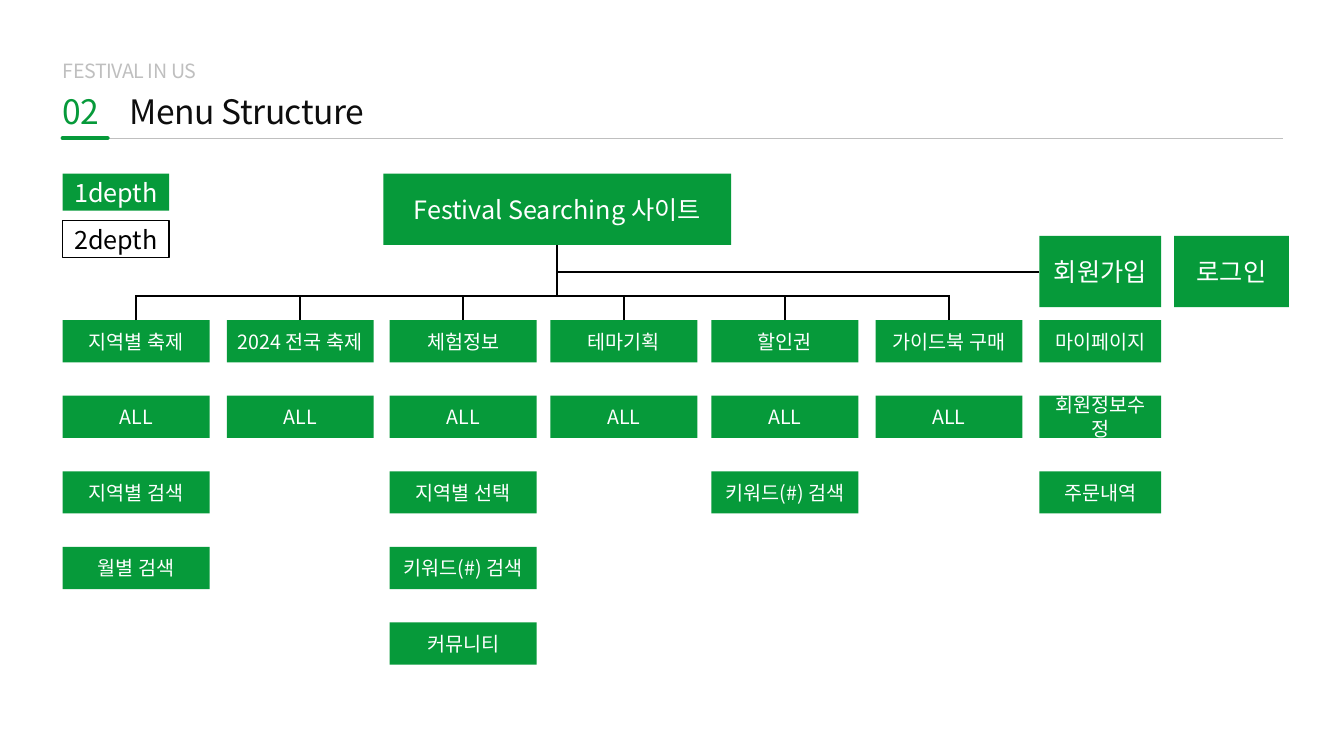
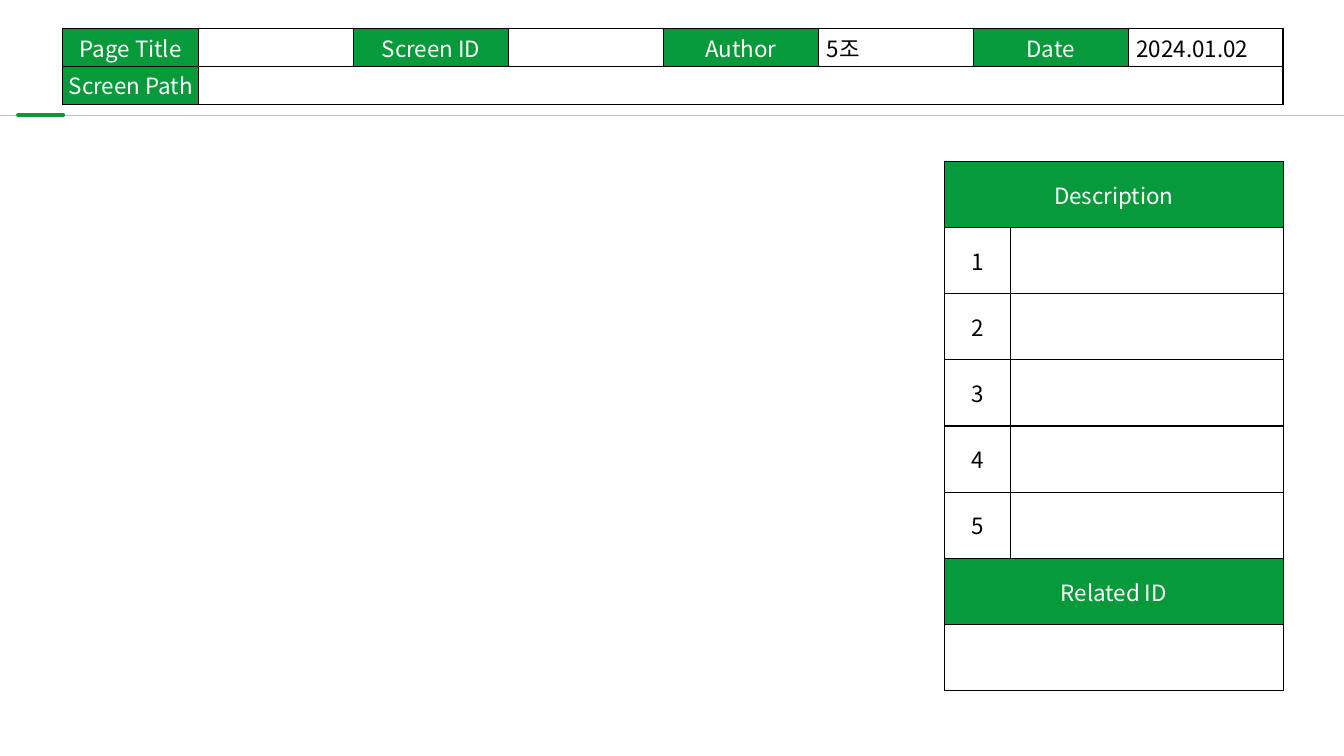
from lxml.etree import SubElement
from pptx import Presentation
from pptx.dml.color import RGBColor
from pptx.enum.shapes import MSO_CONNECTOR as CONN, MSO_SHAPE as SHAPE
from pptx.enum.text import MSO_ANCHOR as ANCHOR, MSO_AUTO_SIZE as AUTO, PP_ALIGN as ALIGN
from pptx.oxml.ns import qn
from pptx.util import Pt

FONT = "Noto Sans CJK KR"
GREEN, GRAY, INK, BLACK, WHITE = "069A3A", "BFBFBF", "0D0D0D", "000000", "FFFFFF"
LEFT, RIGHT = 44.8, 916.6
MARK_W = 32

MENU = [
    (0, 105, ["지역별 축제", "ALL", "지역별 검색", "월별 검색"]),
    (117.2, 105, ["2024 전국 축제", "ALL"]),
    (233.6, 105, ["체험정보", "ALL", "지역별 선택", "키워드(#) 검색", "커뮤니티"]),
    (348.4, 105, ["테마기획", "ALL"]),
    (463.4, 105, ["할인권", "ALL", "키워드(#) 검색"]),
    (580.6, 105, ["가이드북 구매", "ALL"]),
    (697.6, 87, ["마이페이지", "회원정보수정", "주문내역"]),
]


def color(code):
    return RGBColor.from_string(code)


def write(tf, text, size=14, fill=WHITE, align=ALIGN.CENTER, spacing=None):
    p = tf.paragraphs[0]
    p.alignment = align
    r = p.add_run()
    r.text = text
    r.font.size = Pt(size)
    r.font.name = FONT
    r.font.color.rgb = color(fill)
    rpr = r.font._element
    SubElement(rpr, qn("a:ea")).set("typeface", FONT)
    if spacing is not None:
        rpr.set("spc", str(round(spacing * 100)))


def label(s, x, y, w, h, text, size, fill, anchor=ANCHOR.TOP):
    tf = s.shapes.add_textbox(Pt(x), Pt(y), Pt(w), Pt(h)).text_frame
    tf.margin_left = tf.margin_right = tf.margin_top = tf.margin_bottom = 0
    tf.word_wrap = False
    tf.auto_size = AUTO.SHAPE_TO_FIT_TEXT
    tf.vertical_anchor = anchor
    write(tf, text, size=size, fill=fill, align=ALIGN.LEFT, spacing=-0.3)


def box(s, x, y, w, h, text, size=14, outlined=False):
    sp = s.shapes.add_shape(SHAPE.RECTANGLE, Pt(x), Pt(y), Pt(w), Pt(h))
    sp.shadow.inherit = False
    if outlined:
        sp.fill.background()
        sp.line.color.rgb = color(BLACK)
        sp.line.width = Pt(1)
    else:
        sp.fill.solid()
        sp.fill.fore_color.rgb = color(GREEN)
        sp.line.fill.background()
    tf = sp.text_frame
    tf.word_wrap = True
    tf.vertical_anchor = ANCHOR.MIDDLE
    write(tf, text, size=size, fill=BLACK if outlined else WHITE)
    return sp


def line(s, x1, y1, x2, y2, stroke=BLACK, width=1.5, cap=None):
    c = s.shapes.add_connector(CONN.STRAIGHT, Pt(x1), Pt(y1), Pt(x2), Pt(y2))
    c.line.color.rgb = color(stroke)
    c.line.width = Pt(width)
    if cap:
        c.line._get_or_add_ln().set("cap", cap)
    SubElement(c._element.spPr, qn("a:effectLst"))
    return c


def rule(s, x1, x2, y, mark_x):
    line(s, x1, y, x2, y, stroke=GRAY, width=0.5)
    line(s, mark_x, y, mark_x + MARK_W, y, stroke=GREEN, width=3, cap="rnd")


def heading(s, x, y, number, title, kicker):
    label(s, x, y, 98.6, 17.3, kicker, 14, GRAY, anchor=ANCHOR.BOTTOM)
    label(s, x, y + 23, 31.7, 28.8, number, 24, GREEN)
    label(s, x + 47.6, y + 23, 177.8, 28.8, title, 24, INK)
    rule(s, x + MARK_W, RIGHT, y + 56.9, x)


def legend(s, x, y):
    box(s, x, y, 76, 26.6, "1depth", size=18)
    box(s, x, y + 33.6, 76, 26.6, "2depth", size=18, outlined=True)


def site_map(s, x, y):
    row_top, row_h, pitch = y + 104.6, 30.2, 54
    bus_y, link_y = y + 87.6, y + 70
    root = box(s, x + 229, y, 248.4, 51, "Festival Searching 사이트", size=18)
    join = box(s, x + 697.6, link_y - 25.5, 87, 51, "회원가입", size=18)
    box(s, x + 793.8, link_y - 25.5, 82, 51, "로그인", size=18)

    columns = [[box(s, x + dx, row_top + i * pitch, w, row_h, text)
                for i, text in enumerate(texts)] for dx, w, texts in MENU]
    centers = [x + dx + w / 2 for dx, w, _ in MENU[:-1]]
    for cx, column in zip(centers, columns):
        line(s, cx, row_top, cx, bus_y).begin_connect(column[0], 0)
    line(s, centers[0] - 0.75, bus_y, centers[-1] + 0.75, bus_y)

    root_x = x + 229 + 124.2
    line(s, root_x, y + 51, root_x, bus_y).begin_connect(root, 2)
    line(s, x + 697.6, link_y, root_x, link_y).begin_connect(join, 1)


def border(cell):
    pr = cell._tc.get_or_add_tcPr()
    for i, side in enumerate(("a:lnL", "a:lnR", "a:lnT", "a:lnB")):
        ln = pr.makeelement(qn(side), {"w": str(Pt(1))})
        fill = SubElement(ln, qn("a:solidFill"))
        SubElement(fill, qn("a:srgbClr")).set("val", BLACK)
        pr.insert(i, ln)


def grid(s, x, y, widths, row_h, rows, heads, merges=(), left_cells=()):
    shape = s.shapes.add_table(len(rows), len(widths), Pt(x), Pt(y),
                               Pt(sum(widths)), Pt(row_h * len(rows)))
    tbl = shape.table
    tbl.first_row = tbl.horz_banding = False
    for col, w in zip(tbl.columns, widths):
        col.width = Pt(w)
    for i, row in enumerate(rows):
        tbl.rows[i].height = Pt(row_h)
        for j, text in enumerate(row):
            cell = tbl.cell(i, j)
            to_left = text in left_cells
            cell.margin_left = Pt(6 if to_left else 2)
            cell.margin_right = cell.margin_top = cell.margin_bottom = Pt(2)
            cell.vertical_anchor = ANCHOR.MIDDLE
            if text in heads:
                cell.fill.solid()
                cell.fill.fore_color.rgb = color(GREEN)
            else:
                cell.fill.background()
            border(cell)
            if text:
                write(cell.text_frame, text, size=16,
                      fill=WHITE if text in heads else BLACK,
                      align=ALIGN.LEFT if to_left else ALIGN.CENTER)
    for row, first in merges:
        tbl.cell(row, first).merge(tbl.cell(row, len(widths) - 1))


def page_info(s, x, y, w):
    first = 97.2
    rows = [["Page Title", "", "Screen ID", "", "Author", "5조", "Date", "2024.01.02"],
            ["Screen Path"] + [""] * 7]
    grid(s, x, y, [first] + [(w - first) / 7] * 7, 27.1, rows,
         heads=("Page Title", "Screen ID", "Author", "Date", "Screen Path"),
         merges=[(1, 1)], left_cells=("5조", "2024.01.02"))


def description(s, x, y, w):
    rows = [["Description", ""]]
    rows += [[str(n), ""] for n in range(1, 6)]
    rows += [["Related ID", ""], ["", ""]]
    grid(s, x, y, [47.2, w - 47.2], 47.25, rows,
         heads=("Description", "Related ID"), merges=[(0, 0), (6, 0), (7, 0)])


def menu_slide(s):
    heading(s, LEFT, 41.8, "02", "Menu Structure", "FESTIVAL IN US")
    legend(s, LEFT, 124)
    site_map(s, LEFT, 124)


def screen_slide(s):
    rule(s, 0, 960, 82.2, 13)
    page_info(s, LEFT, 20.2, RIGHT - LEFT)
    description(s, RIGHT - 242, 115.4, 242)


def main():
    prs = Presentation()
    prs.slide_width, prs.slide_height = Pt(960), Pt(540)
    for build in (menu_slide, screen_slide):
        build(prs.slides.add_slide(prs.slide_layouts[6]))
    prs.save("out.pptx")


if __name__ == "__main__":
    main()
